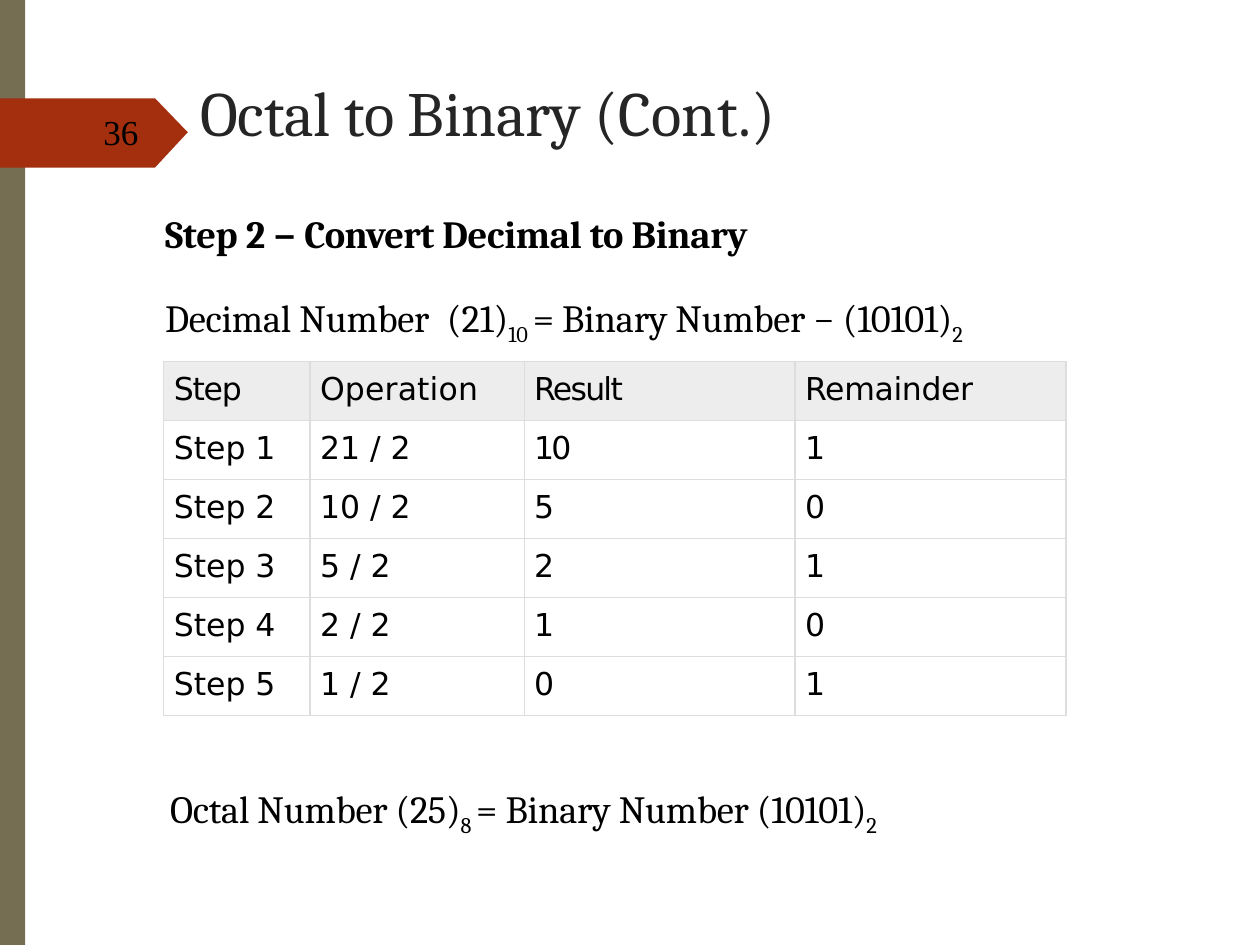
"""Build the slide on converting octal numbers to binary."""
from pptx import Presentation
from pptx.dml.color import RGBColor
from pptx.enum.shapes import MSO_SHAPE
from pptx.enum.text import MSO_ANCHOR, MSO_AUTO_SIZE, PP_ALIGN
from pptx.oxml import parse_xml
from pptx.oxml.ns import nsdecls
from pptx.util import Inches, Pt

COLORS = {"bar": "766E53", "flag": "A42F0F", "title": "252525",
          "text": "000000", "head": "EDEDED", "rule": "DDDDDD"}


def set_frame(shape, left, top, width, height, indent):
    shape.left, shape.top = Inches(left), Inches(top)
    shape.width, shape.height = Inches(width), Inches(height)
    frame = shape.text_frame
    frame.word_wrap = True
    frame.auto_size = MSO_AUTO_SIZE.NONE
    frame.vertical_anchor = MSO_ANCHOR.TOP
    frame.margin_left, frame.margin_top = Inches(indent), Inches(0.01)
    frame.margin_right = frame.margin_bottom = 0
    return frame


def write(para, runs, size, face="Cambria", color="text", bold=False):
    para.alignment = PP_ALIGN.LEFT
    font = para.font
    font.size, font.name, font.bold = Pt(size), face, bold
    font.color.rgb = RGBColor.from_string(COLORS[color])
    for text, gap, base in runs:
        run = para.add_run()
        run.text = text
        props = run.font._element
        props.set("spc", str(round(gap * 100)))
        if base:
            props.set("baseline", str(base * 1000))


deck = Presentation()
deck.slide_width, deck.slide_height = Inches(10), Inches(7.5)
slide = deck.slides.add_slide(deck.slide_layouts[5])
shapes = slide.shapes

bar = shapes.add_shape(MSO_SHAPE.RECTANGLE, 0, 0, Inches(0.2), Inches(7.5))
pen = shapes.build_freeform(0, Inches(0.78))
pen.add_line_segments([(Inches(x), Inches(y)) for x, y in
                       [(1.23, 0.78), (1.49, 1.05), (1.23, 1.33), (0, 1.33)]])
flag = pen.convert_to_shape()
for shape, name in [(bar, "bar"), (flag, "flag")]:
    shape.shadow.inherit = False
    shape.fill.solid()
    shape.fill.fore_color.rgb = RGBColor.from_string(COLORS[name])
    shape.line.fill.background()

frame = set_frame(shapes.title, 1.58, 0.57, 4.79, 0.63, 0.01)
write(frame.paragraphs[0],
      [("Octal to Binary ", -0.1, 0), ("(Cont.)", 0.1, 0)], 36, color="title")

frame = set_frame(shapes.add_textbox(0, 0, 0, 0), 0.81, 0.87, 0.31, 0.36, 0.01)
write(frame.paragraphs[0], [("36", 0.1, 0)], 20, "Times New Roman")

frame = set_frame(shapes.add_textbox(0, 0, 0, 0), 1.25, 1.66, 7.05, 1.06, 0.06)
write(frame.paragraphs[0],
      [("Step 2 − ", -0.1, 0), ("Convert ", -0.3, 0),
       ("Decimal to Binary", -0.1, 0)], 22, bold=True)
para = frame.add_paragraph()
para.space_before = Pt(21.6)
write(para, [("Decimal Number", -0.1, 0), (" ", 5.2, 0), ("(21)", 0, 0),
             ("10 ", 0, -25), ("= Binary Number − (10101)", -0.1, 0),
             ("2", -0.1, -25)], 22)

frame = set_frame(shapes.add_textbox(0, 0, 0, 0), 1.31, 6.22, 6.22, 0.39, 0.04)
write(frame.paragraphs[0],
      [("Octal Number (25)", -0.1, 0), ("8 ", -0.1, -25),
       ("= Binary Number (10101)", -0.1, 0), ("2", -0.1, -25)], 22)

rows = [("Step", "Operation", "Result", "Remainder"),
        ("Step 1", "21 / 2", "10", "1"),
        ("Step 2", "10 / 2", "5", "0"),
        ("Step 3", "5 / 2", "2", "1"),
        ("Step 4", "2 / 2", "1", "0"),
        ("Step 5", "1 / 2", "0", "1")]
gaps = {"Step": -0.7, "Operation": 0.1, "Result": -1, "Remainder": -0.2,
        "10": -1.6}
widths = [1.16, 1.7, 2.15, 2.15]
table = shapes.add_table(len(rows), len(widths), Inches(1.3), Inches(2.87),
                         Inches(sum(widths)), Inches(2.81)).table
table.first_row = table.horz_banding = False
for col, width in zip(table.columns, widths):
    col.width = Inches(width)
for r, row in enumerate(rows):
    table.rows[r].height = Inches(2.81 / len(rows))
    for c, text in enumerate(row):
        cell = table.cell(r, c)
        cell.margin_left = cell.margin_top = Inches(0.08)
        cell.margin_right = cell.margin_bottom = 0
        write(cell.text_frame.paragraphs[0], [(text, gaps.get(text, 0), 0)],
              18, "DejaVu Sans")
        props = cell._tc.get_or_add_tcPr()
        for side in "LRTB":
            props.append(parse_xml(
                f'<a:ln{side} {nsdecls("a")} w="{Pt(0.75)}"><a:solidFill>'
                f'<a:srgbClr val="{COLORS["rule"]}"/></a:solidFill></a:ln{side}>'))
        if r == 0:
            cell.fill.solid()
            cell.fill.fore_color.rgb = RGBColor.from_string(COLORS["head"])
        else:
            cell.fill.background()

deck.save("out.pptx")
